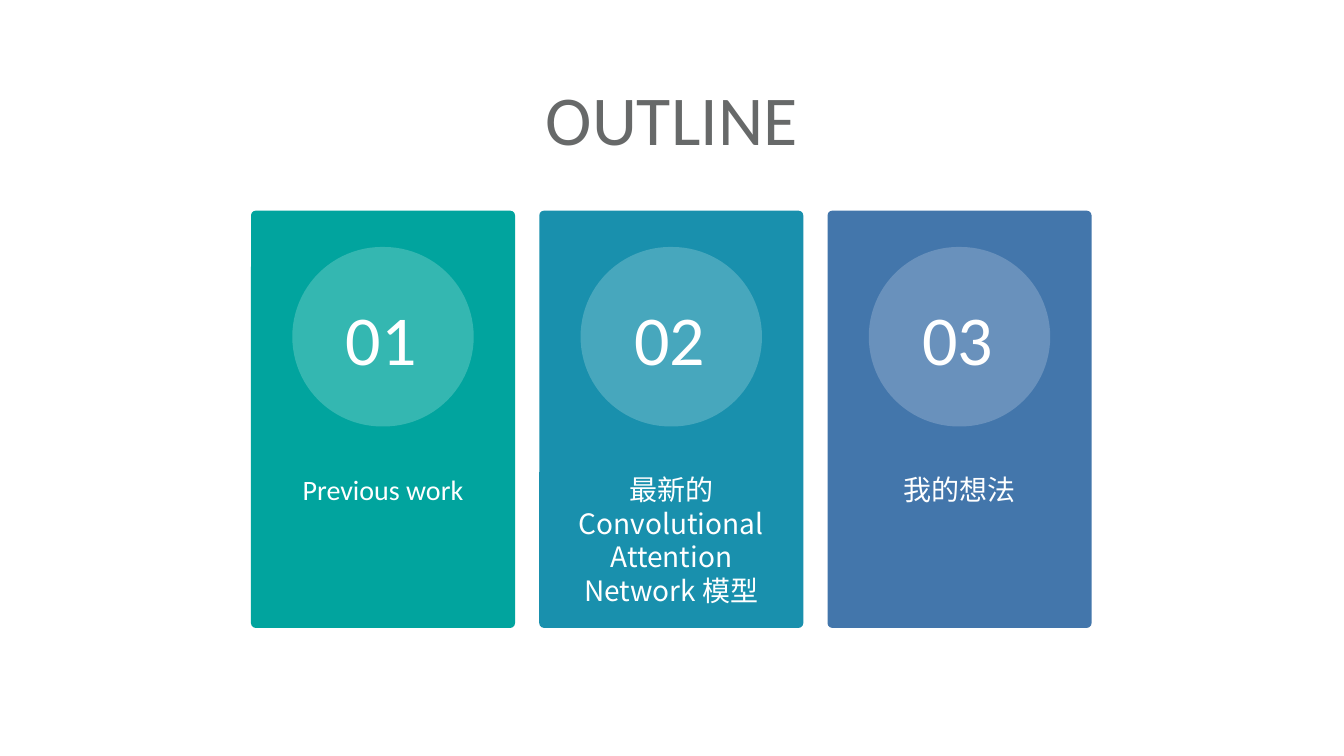
"""Build the outline slide: a title above three numbered topic cards."""
from dataclasses import dataclass
from typing import Any

import pptx
import pptx.dml.color
import pptx.enum.shapes
import pptx.enum.text
import pptx.util

Pt = pptx.util.Pt
Color = pptx.dml.color.RGBColor.from_string


@dataclass(frozen=True)
class Theme:
    """Colours, fonts and type sizes of the slide."""
    title: str = "676969"
    light: str = "FFFFFF"
    font: str = "Calibri"
    chinese_font: str = "Noto Sans CJK SC"
    large: int = 50
    body: int = 20


@dataclass(frozen=True)
class Box:
    """A rectangle in points."""
    left: float
    top: float
    width: float
    height: float

    def shifted(self, distance: float) -> "Box":
        """Return the box moved to the right."""
        return Box(self.left + distance, self.top, self.width, self.height)

    def lengths(self) -> list[pptx.util.Length]:
        """Return position and size as lengths."""
        return [Pt(value) for value in (self.left, self.top, self.width, self.height)]


@dataclass(frozen=True)
class Card:
    """A topic card; its topic is a list of text and font pairs."""
    number: str
    topic: list[tuple[str, str]]
    fill: str
    badge_fill: str


THEME = Theme()
TITLE_BOX = Box(213.1, 62.6, 533.5, 54)
CARD_BOX = Box(179.3, 150.5, 188.6, 298)
BADGE_BOX = Box(208.8, 176.4, 129.6, 128.2)
NUMBER_BOX = Box(244.8, 220.3, 55.4, 52.6)
TOPIC_BOX = Box(200.9, 335.5, 145.4, 92.9)
CARD_PITCH = 205.9
INSET = 2.16
CARDS = [
    Card("01", [("Previous work", THEME.font)], "01A49E", "34B7B1"),
    Card("02", [("最新的", THEME.font),
                ("Convolutional Attention Network 模型", THEME.chinese_font)],
         "1990AD", "47A7BD"),
    Card("03", [("我的想法", THEME.font)], "4376AB", "6991BC"),
]
ANCHOR = pptx.enum.text.MSO_ANCHOR
AUTO_SIZE = pptx.enum.text.MSO_AUTO_SIZE
MARGINS = {f"margin_{side}": Pt(INSET) for side in ("left", "top", "right", "bottom")}
TITLE_FRAME = MARGINS | {"word_wrap": True, "vertical_anchor": ANCHOR.MIDDLE,
                         "auto_size": AUTO_SIZE.SHAPE_TO_FIT_TEXT}
NUMBER_FRAME = TITLE_FRAME | {"word_wrap": False}
TOPIC_FRAME = MARGINS | {"word_wrap": True, "vertical_anchor": ANCHOR.TOP,
                         "auto_size": AUTO_SIZE.NONE}
CENTERED = {"alignment": pptx.enum.text.PP_ALIGN.CENTER}
TIGHT = CENTERED | {"line_spacing": 0.8}


def apply_format(target: Any, values: dict[str, Any]) -> None:
    """Set every attribute named in the format values."""
    for name, value in values.items():
        setattr(target, name, value)


def write_text(shape: Any, pieces: list[tuple[str, str]], size: int, color: str,
               frame_format: dict[str, Any], paragraph_format: dict[str, Any]) -> None:
    """Fill a shape with one formatted paragraph."""
    apply_format(shape.text_frame, frame_format)
    paragraph = shape.text_frame.paragraphs[0]
    apply_format(paragraph, paragraph_format)
    for text, font in pieces:
        run = paragraph.add_run()
        run.text = text
        apply_format(run.font, {"name": font, "size": Pt(size), "bold": False})
        run.font.color.rgb = Color(color)


def draw_panel(slide: Any, box: Box, fill: str, roundness: float) -> None:
    """Draw a plain rounded panel."""
    kind = pptx.enum.shapes.MSO_SHAPE.ROUNDED_RECTANGLE
    shape = slide.shapes.add_shape(kind, *box.lengths())
    shape.adjustments[0] = roundness
    shape.shadow.inherit = False
    shape.fill.solid()
    shape.fill.fore_color.rgb = Color(fill)
    shape.line.fill.background()


def draw_card(slide: Any, card: Card, shift: float) -> None:
    """Draw a card with its badge, number and topic."""
    draw_panel(slide, CARD_BOX.shifted(shift), card.fill, 0.018)
    draw_panel(slide, BADGE_BOX.shifted(shift), card.badge_fill, 0.5)
    number = slide.shapes.add_textbox(*NUMBER_BOX.shifted(shift).lengths())
    write_text(number, [(card.number, THEME.font)], THEME.large, THEME.light,
               NUMBER_FRAME, TIGHT)
    topic = slide.shapes.add_textbox(*TOPIC_BOX.shifted(shift).lengths())
    write_text(topic, card.topic, THEME.body, THEME.light, TOPIC_FRAME, CENTERED)


def main() -> None:
    """Build and save the presentation."""
    presentation = pptx.Presentation()
    apply_format(presentation, {"slide_width": Pt(960), "slide_height": Pt(540)})
    slide = presentation.slides.add_slide(presentation.slide_layouts[5])
    title = slide.shapes.title
    apply_format(title, dict(zip(("left", "top", "width", "height"), TITLE_BOX.lengths())))
    write_text(title, [("OUTLINE", THEME.font)], THEME.large, THEME.title,
               TITLE_FRAME, TIGHT)
    for index, card in enumerate(CARDS):
        draw_card(slide, card, index * CARD_PITCH)
    presentation.save("out.pptx")


main()
